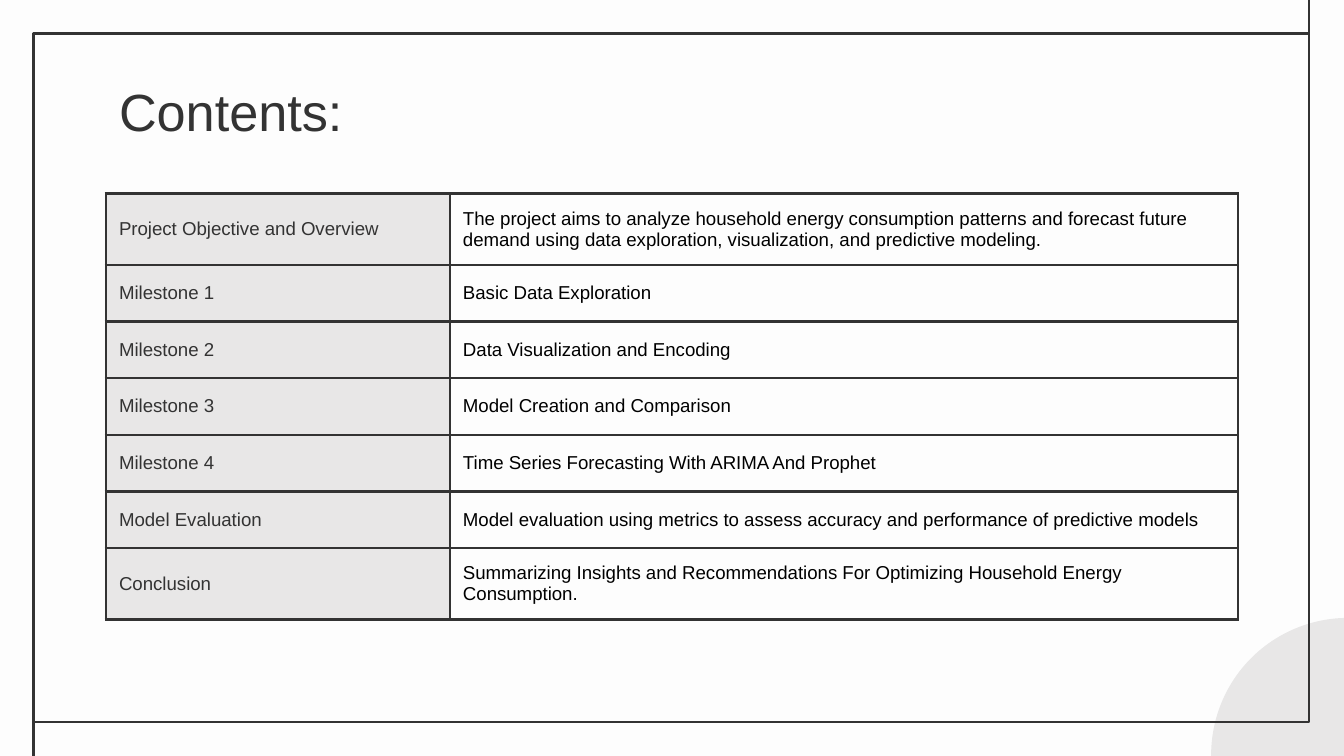
from lxml.etree import SubElement
from pptx import Presentation
from pptx.dml.color import RGBColor
from pptx.enum.shapes import MSO_CONNECTOR, MSO_SHAPE
from pptx.enum.text import MSO_ANCHOR
from pptx.oxml.ns import qn
from pptx.util import Cm, Pt

COLORS = {
    "background": "FDFDFD",
    "ink": "333333",
    "panel": "E8E7E7",
    "body": "000000",
}
FONT = "Arial"
LINE_WIDTH = Pt(1.5)
INSET = Cm(0.25)

SLIDE_WIDTH, SLIDE_HEIGHT = 25.4, 14.29
FRAME_LEFT, FRAME_TOP, FRAME_WIDTH, FRAME_HEIGHT = 0.64, 0.64, 24.1, 13.01
CONTENT_LEFT = 2
COLUMN_WIDTHS = (6.5, 14.9)
ROW_HEIGHT = 1.07

CONTENTS = [
    ("Project Objective and Overview",
     "The project aims to analyze household energy consumption patterns and forecast "
     "future demand using data exploration, visualization, and predictive modeling."),
    ("Milestone 1", "Basic Data Exploration"),
    ("Milestone 2", "Data Visualization and Encoding"),
    ("Milestone 3", "Model Creation and Comparison"),
    ("Milestone 4", "Time Series Forecasting With ARIMA And Prophet"),
    ("Model Evaluation",
     "Model evaluation using metrics to assess accuracy and performance of predictive models"),
    ("Conclusion",
     "Summarizing Insights and Recommendations For Optimizing Household Energy Consumption."),
]


def color(name):
    return RGBColor.from_string(COLORS[name])


def set_text(text_frame, text, size, color_name):
    text_frame.text = text
    font = text_frame.paragraphs[0].font
    font.name = FONT
    font.size = Pt(size)
    font.color.rgb = color(color_name)


def set_insets(target):
    """Give a text frame or a table cell the same inset on every side."""
    target.margin_left = target.margin_right = INSET
    target.margin_top = target.margin_bottom = INSET


def set_outline(line):
    line.color.rgb = color("ink")
    line.width = LINE_WIDTH


def add_corner_circle(slide):
    circle = slide.shapes.add_shape(
        MSO_SHAPE.OVAL, Cm(22.89), Cm(11.68), Cm(5.18), Cm(5.18))
    circle.shadow.inherit = False
    circle.fill.solid()
    circle.fill.fore_color.rgb = color("panel")
    circle.line.fill.background()


def add_vertical_line(slide, x, top, bottom):
    connector = slide.shapes.add_connector(
        MSO_CONNECTOR.STRAIGHT, Cm(x), Cm(top), Cm(x), Cm(bottom))
    set_outline(connector.line)
    SubElement(connector._element.spPr, qn("a:effectLst"))


def add_frame(slide):
    """Draw the border, with lines running on to the slide edge at two corners."""
    add_vertical_line(slide, FRAME_LEFT + FRAME_WIDTH, 0, FRAME_TOP)
    add_vertical_line(slide, FRAME_LEFT, FRAME_TOP + FRAME_HEIGHT, SLIDE_HEIGHT)
    frame = slide.shapes.add_shape(
        MSO_SHAPE.RECTANGLE, Cm(FRAME_LEFT), Cm(FRAME_TOP),
        Cm(FRAME_WIDTH), Cm(FRAME_HEIGHT))
    frame.shadow.inherit = False
    frame.fill.background()
    set_outline(frame.line)


def add_title(slide, text):
    title = slide.shapes.add_textbox(
        Cm(CONTENT_LEFT), Cm(1.24), Cm(sum(COLUMN_WIDTHS)), Cm(1.6))
    title.text_frame.word_wrap = True
    set_insets(title.text_frame)
    set_text(title.text_frame, text, 28, "ink")


def set_cell_borders(cell):
    properties = cell._tc.get_or_add_tcPr()
    for position, side in enumerate(("a:lnL", "a:lnR", "a:lnT", "a:lnB")):
        border = properties.makeelement(qn(side), {"w": str(LINE_WIDTH)})
        fill = SubElement(border, qn("a:solidFill"))
        SubElement(fill, qn("a:srgbClr"), val=COLORS["ink"])
        properties.insert(position, border)


def fill_cell(cell, text, text_color, fill_color):
    set_text(cell.text_frame, text, 10, text_color)
    set_insets(cell)
    cell.vertical_anchor = MSO_ANCHOR.MIDDLE
    cell.fill.solid()
    cell.fill.fore_color.rgb = color(fill_color)
    set_cell_borders(cell)


def add_contents_table(slide):
    table = slide.shapes.add_table(
        len(CONTENTS), len(COLUMN_WIDTHS), Cm(CONTENT_LEFT), Cm(3.66),
        Cm(sum(COLUMN_WIDTHS)), Cm(ROW_HEIGHT * len(CONTENTS))).table
    table.first_row = table.horz_banding = False
    for column, width in zip(table.columns, COLUMN_WIDTHS):
        column.width = Cm(width)
    for row, (section, description) in zip(table.rows, CONTENTS):
        row.height = Cm(ROW_HEIGHT)
        fill_cell(row.cells[0], section, "ink", "panel")
        fill_cell(row.cells[1], description, "body", "background")


def main():
    presentation = Presentation()
    presentation.slide_width = Cm(SLIDE_WIDTH)
    presentation.slide_height = Cm(SLIDE_HEIGHT)
    slide = presentation.slides.add_slide(presentation.slide_layouts[6])
    slide.background.fill.solid()
    slide.background.fill.fore_color.rgb = color("background")
    add_corner_circle(slide)
    add_frame(slide)
    add_title(slide, "Contents:")
    add_contents_table(slide)
    presentation.save("out.pptx")


if __name__ == "__main__":
    main()
